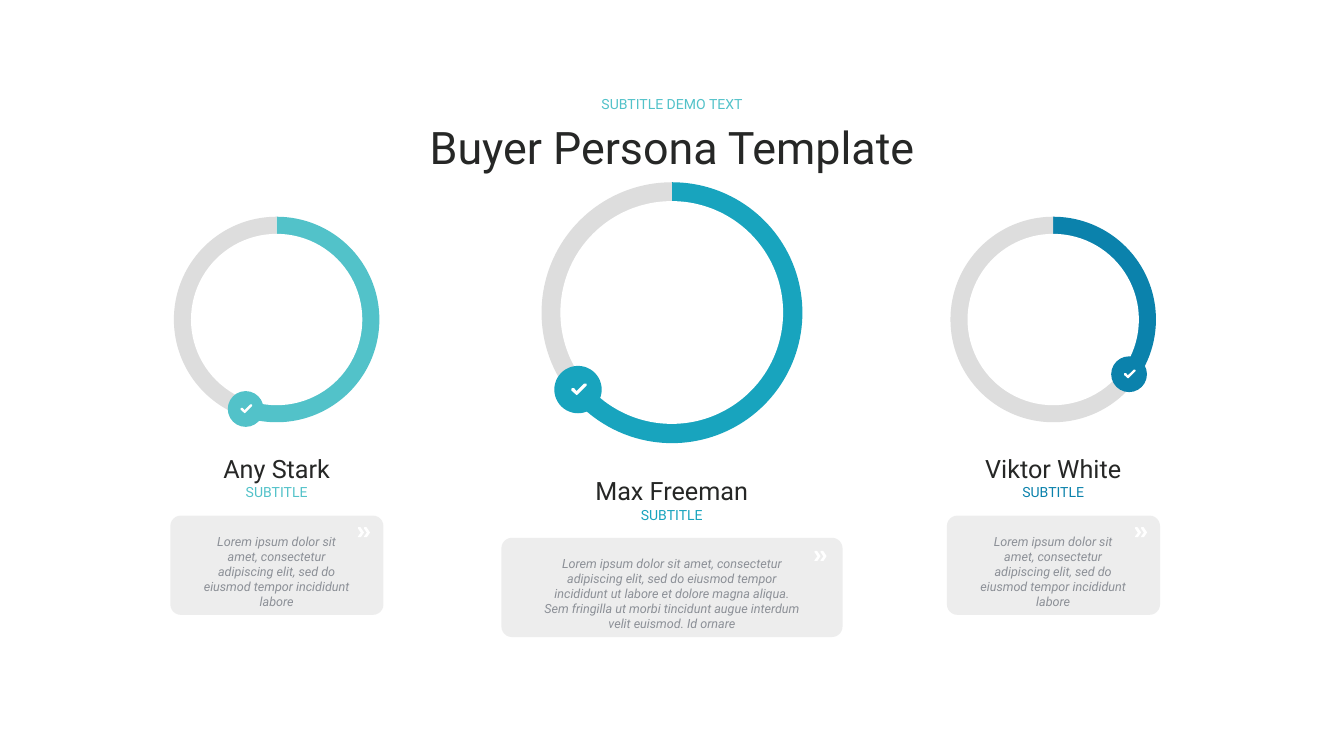
"""Build the buyer persona slide with three ring charts and profile cards."""
import lxml.etree
import pptx
import pptx.chart.data
import pptx.dml.color
import pptx.enum.chart
import pptx.enum.shapes
import pptx.enum.text
import pptx.oxml
import pptx.oxml.ns
import pptx.util

PX = 9144
SLIDE_WIDTH, SLIDE_HEIGHT = 2667, 1500
INK, GRAY, MUTED, WHITE = "262726", "DDDDDD", "8C9097", "FFFFFF"
TEAL, CYAN, BLUE = "52C2C9", "18A4BE", "0B82AC"
TITLE = ("Buyer Persona Template", (707, 227, 1253, 128))
SUBTITLE = ("SUBTITLE DEMO TEXT", (959, 180, 749, 54))
SHORT_TEXT = ("Lorem ipsum dolor sit amet, consectetur adipiscing elit, "
              "sed do eiusmod tempor incididunt labore")
LONG_TEXT = ("Lorem ipsum dolor sit amet, consectetur adipiscing elit, "
             "sed do eiusmod tempor incididunt ut labore et dolore magna aliqua. "
             "Sem fringilla ut morbi tincidunt augue interdum velit euismod. Id ornare")
SIDE = {"ring_top": 428, "ring": 412, "hole": 340, "name_top": 889,
        "card_width": 423, "text_width": 318, "text": SHORT_TEXT, "badge_size": 71}
PERSONAS = [
    {**SIDE, "name": "Any Stark", "name_width": 318, "color": TEAL, "values": (54, 46),
     "center": 549, "badge": (452, 776), "quote": (710, 1046)},
    {**SIDE, "name": "Viktor White", "name_width": 412, "color": BLUE, "values": (34, 66),
     "center": 2090, "badge": (2205, 707), "quote": (2252, 1046)},
    {"name": "Max Freeman", "name_width": 360, "color": CYAN, "values": (63, 37),
     "center": 1333, "ring_top": 359, "ring": 523, "hole": 442, "name_top": 933,
     "card_width": 677, "text_width": 535, "text": LONG_TEXT, "badge_size": 94,
     "badge": (1100, 726), "quote": (1616, 1093)},
]
CHECK_SIZE = 94
CHECK = [(46, 57), (44, 58), (43, 57), (34, 49), (34, 45), (36, 44), (39, 44),
         (44, 50), (59, 35), (63, 35), (64, 36), (64, 39)]
CHEVRON = [(1, 0), (0, 2), (6, 11), (0, 19), (1, 20), (5, 20), (6, 20),
           (12, 11), (12, 10), (6, 1), (5, 0)]


def rgb(value):
    return pptx.dml.color.RGBColor.from_string(value)


def emu(box):
    return [pptx.util.Emu(round(length * PX)) for length in box]


def centered(center, top, width, height):
    return center - width // 2, top, width, height


def paint(shape, color):
    shape.shadow.inherit = False
    shape.fill.solid()
    shape.fill.fore_color.rgb = rgb(color)
    shape.line.fill.background()
    return shape


def add_shape(shapes, kind, box, color):
    return paint(shapes.add_shape(kind, *emu(box)), color)


def write(shape, text, size, color, italic=None):
    frame = shape.text_frame
    frame.word_wrap = True
    frame.auto_size = pptx.enum.text.MSO_AUTO_SIZE.SHAPE_TO_FIT_TEXT
    frame.vertical_anchor = pptx.enum.text.MSO_ANCHOR.TOP
    for side in ("left", "top", "right", "bottom"):
        setattr(frame, f"margin_{side}", pptx.util.Emu(10 * PX))
    paragraph = frame.paragraphs[0]
    paragraph.alignment = pptx.enum.text.PP_ALIGN.CENTER
    run = paragraph.add_run()
    run.text = text
    run.font.name, run.font.size = "Roboto", pptx.util.Pt(size)
    run.font.color.rgb = rgb(color)
    run.font.italic = italic


def add_text(slide, box, *style):
    write(slide.shapes.add_textbox(*emu(box)), *style)


def add_outline(shapes, contours, origin, scale, color):
    builder = shapes.build_freeform(*contours[0][0], scale=scale)
    builder.add_line_segments(contours[0][1:])
    for contour in contours[1:]:
        builder.move_to(*contour[0])
        builder.add_line_segments(contour[1:])
    paint(builder.convert_to_shape(*emu(origin)), color)


def add_ring_chart(slide, box, values, color):
    data = pptx.chart.data.CategoryChartData()
    data.categories = ["1", "2"]
    data.add_series("Series 1", values)
    chart = slide.shapes.add_chart(
        pptx.enum.chart.XL_CHART_TYPE.PIE, *emu(box), data).chart
    chart.has_legend = chart.has_title = False
    chart.font.name, chart.font.size = "Calibri", pptx.util.Pt(10)
    chart.font.color.rgb = rgb(INK)
    chart.plots[0].vary_by_categories = False
    series = chart.plots[0].series[0]
    series.format.fill.solid()
    series.format.fill.fore_color.rgb = rgb(color)
    for index, shade in enumerate((color, GRAY)):
        point = series.points[index].format
        point.fill.solid()
        point.fill.fore_color.rgb = rgb(shade)
        point.line.fill.background()
    qn = pptx.oxml.ns.qn
    plot_area = chart.element.find(".//" + qn("c:plotArea"))
    for layout in plot_area.findall(qn("c:layout")):
        plot_area.remove(layout)
    layout = lxml.etree.Element(qn("c:layout"))
    manual = lxml.etree.SubElement(layout, qn("c:manualLayout"))
    for tag, value in (("layoutTarget", "inner"), ("xMode", "edge"), ("yMode", "edge"),
                       ("x", "0.005"), ("y", "0.005"), ("w", "0.99"), ("h", "0.99")):
        lxml.etree.SubElement(manual, qn("c:" + tag)).set("val", value)
    plot_area.insert(0, layout)


def add_persona(slide, persona):
    shapes, kinds = slide.shapes, pptx.enum.shapes.MSO_SHAPE
    center, top, color = persona["center"], persona["name_top"], persona["color"]
    ring, hole = persona["ring"], persona["hole"]

    card = add_shape(shapes, kinds.ROUNDED_RECTANGLE,
                     centered(center, top + 134, persona["card_width"], 197), GRAY)
    card.adjustments[0] = 0.106
    fill = card.element.spPr.find(".//" + pptx.oxml.ns.qn("a:srgbClr"))
    lxml.etree.SubElement(fill, pptx.oxml.ns.qn("a:alpha")).set("val", "50000")

    add_ring_chart(slide, centered(center, persona["ring_top"], ring, ring),
                   persona["values"], color)
    hole_top = persona["ring_top"] + (ring - hole) // 2
    add_shape(shapes, kinds.OVAL, centered(center, hole_top, hole, hole), WHITE)

    add_text(slide, centered(center, top + 160, persona["text_width"], 172),
             persona["text"], 18, MUTED, True)
    add_text(slide, centered(center, top + 61, 318, 54), "SUBTITLE", 20, color)
    add_text(slide, centered(center, top, persona["name_width"], 81),
             persona["name"], 36, INK)

    badge, size = shapes.add_group_shape(), persona["badge_size"]
    add_shape(badge.shapes, kinds.OVAL, (*persona["badge"], size, size), color)
    add_outline(badge.shapes, [CHECK], persona["badge"], PX * size / CHECK_SIZE, WHITE)
    second = [(x + 12, y) for x, y in CHEVRON]
    add_outline(shapes, [CHEVRON, second], persona["quote"], PX, WHITE)


def main():
    presentation = pptx.Presentation()
    presentation.slide_width, presentation.slide_height = emu((SLIDE_WIDTH, SLIDE_HEIGHT))
    slide = presentation.slides.add_slide(presentation.slide_layouts[5])
    title = slide.shapes.title
    title.left, title.top, title.width, title.height = emu(TITLE[1])
    write(title, TITLE[0], 64, INK)
    add_text(slide, SUBTITLE[1], SUBTITLE[0], 20, TEAL)
    for persona in PERSONAS:
        add_persona(slide, persona)
    presentation.save("out.pptx")


if __name__ == "__main__":
    main()
